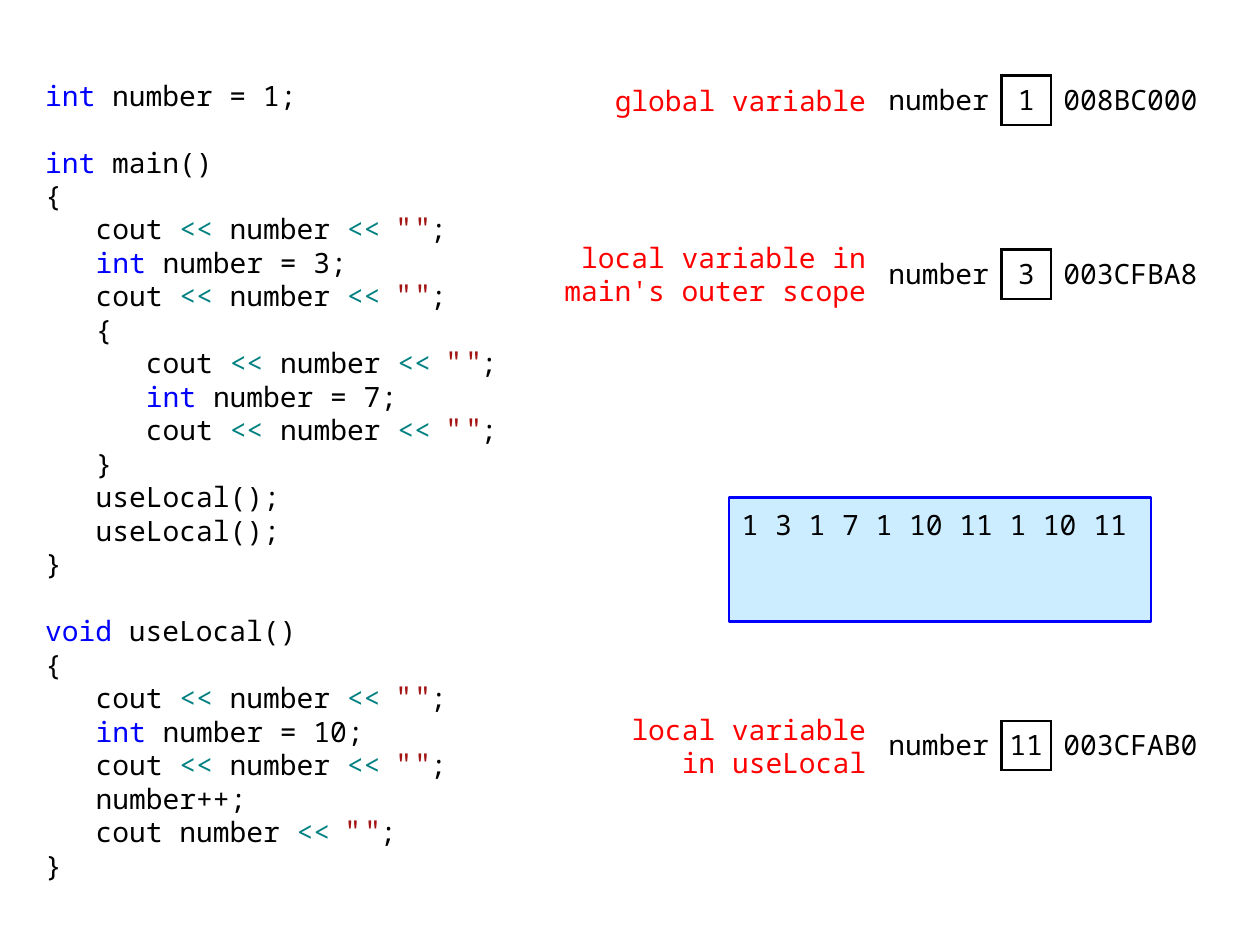
from typing import NamedTuple

from lxml.etree import SubElement
from pptx import Presentation
from pptx.dml.color import RGBColor
from pptx.enum.shapes import MSO_SHAPE as Shape
from pptx.enum.text import MSO_ANCHOR as Anchor, PP_ALIGN as Align
from pptx.oxml.ns import qn
from pptx.util import Pt

MONO, SANS = "Noto Sans Mono", "Noto Sans CJK TC"
BLACK, BLUE, TEAL, RED, BRICK = "000000", "0000FF", "008080", "FF0000", "A31515"
SIZE, PITCH = 16, 19.15
INDENT = 3 * 0.6 * SIZE  # three characters of the mono font
SIDE = 28.2              # side of a memory cell


class Run(NamedTuple):
    text: str
    color: str = BLACK
    font: str = MONO


class Line(NamedTuple):
    level: int
    runs: list[Run]
    gap: bool = False  # one line of space above


class Memory(NamedTuple):
    """A variable with its label, value and address."""
    label: str
    left: float
    rows: int
    top: float
    value: str
    place: str


def plain(level: int, text: str) -> Line:
    return Line(level, [Run(text)])


def typed(level: int, word: str, rest: str, gap: bool = False) -> Line:
    """A line that starts with a keyword."""
    return Line(level, [Run(word + " ", BLUE), Run(rest)], gap)


def tail() -> list[Run]:
    return [Run("<< ", TEAL), Run('" "', BRICK, SANS), Run(";")]


def cout(level: int) -> Line:
    return Line(level, [Run("cout "), Run("<<", TEAL), Run(" number "), *tail()])


CODE = [
    typed(0, "int", "number = 1;"),
    typed(0, "int", "main()", True),
    plain(0, "{"),
    cout(1),
    typed(1, "int", "number = 3;"),
    cout(1),
    plain(1, "{"),
    cout(2),
    typed(2, "int", "number = 7;"),
    cout(2),
    plain(1, "}"),
    plain(1, "useLocal();"),
    plain(1, "useLocal();"),
    plain(0, "}"),
    typed(0, "void", "useLocal()", True),
    plain(0, "{"),
    cout(1),
    typed(1, "int", "number = 10;"),
    cout(1),
    plain(1, "number++;"),
    Line(1, [Run("cout number "), *tail()]),
    plain(0, "}"),
]

MEMORY = [
    Memory("global variable", 332, 1, 43.2, "1", "008BC000"),
    Memory("local variable in main's outer scope", 303, 2, 142.5, "3", "003CFBA8"),
    Memory("local variable in useLocal", 345.5, 2, 412, "11", "003CFAB0"),
]


def rgb(code: str) -> RGBColor:
    return RGBColor.from_string(code)


def write(para, runs: list[Run], align=Align.LEFT, pitch: float = PITCH) -> None:
    para.alignment = align
    para.line_spacing = Pt(pitch)
    for item in runs:
        run = para.add_run()
        run.text = item.text
        run.font.name = item.font
        run.font.size = Pt(SIZE)
        run.font.color.rgb = rgb(item.color)


def pad(area, side: float, top: float, base: float) -> None:
    area.margin_left = area.margin_right = Pt(side)
    area.margin_top, area.margin_bottom = Pt(top), Pt(base)


def add_box(slide, left: float, top: float, width: float, height: float):
    box = slide.shapes.add_textbox(Pt(left), Pt(top), Pt(width), Pt(height))
    box.text_frame.word_wrap = True
    return box.text_frame


def add_code(slide) -> None:
    frame = add_box(slide, 20, 43.2, 284, 468)
    pad(frame, 5.8, 1.5, 1.5)
    for i, line in enumerate(CODE):
        para = frame.add_paragraph() if i else frame.paragraphs[0]
        write(para, line.runs)
        if line.gap:
            para.space_before = Pt(PITCH)
        props = para._p.get_or_add_pPr()
        props.set("marL", str(Pt(line.level * INDENT)))
        props.set("indent", "0")


def set_edges(cell, drawn: str) -> None:
    """Draw the sides named by letters of LRTB and clear the others."""
    props = cell._tc.get_or_add_tcPr()
    for i, side in enumerate("LRTB"):
        edge = SubElement(props, qn("a:ln" + side), w=str(Pt(1.5)))
        if side in drawn:
            fill = SubElement(edge, qn("a:solidFill"))
            SubElement(fill, qn("a:srgbClr"), val=BLACK)
        else:
            SubElement(edge, qn("a:noFill"))
        props.insert(i, edge)


def add_memory(slide, item: Memory) -> None:
    high = item.rows * SIDE
    mid = item.top + SIDE / 2
    frame = add_box(slide, item.left, mid - high / 2, 502 - item.left, high)
    frame.vertical_anchor = Anchor.MIDDLE
    write(frame.paragraphs[0], [Run(item.label, RED)], Align.RIGHT)

    widths = (85, SIDE, 99.4)
    grid = slide.shapes.add_table(1, 3, Pt(487.3), Pt(item.top),
                                  Pt(sum(widths)), Pt(SIDE)).table
    grid.first_row = grid.horz_banding = False
    grid.rows[0].height = Pt(SIDE)
    cells = (
        ("number", Align.RIGHT, "R", 7.2),
        (item.value, Align.CENTER, "LRTB", 0),
        (item.place, Align.LEFT, "L", 7.2),
    )
    for i, (text, align, edges, side) in enumerate(cells):
        grid.columns[i].width = Pt(widths[i])
        cell = grid.cell(0, i)
        cell.fill.background()
        cell.vertical_anchor = Anchor.MIDDLE
        pad(cell, side, 0, 0)
        write(cell.text_frame.paragraphs[0], [Run(text)], align, PITCH * 1.1)
        set_edges(cell, edges)


def add_output(slide) -> None:
    box = slide.shapes.add_shape(Shape.RECTANGLE, Pt(416.7), Pt(284.3),
                                 Pt(241), Pt(70.8))
    box.shadow.inherit = False
    box.fill.solid()
    box.fill.fore_color.rgb = rgb("CCECFF")
    box.line.color.rgb = rgb(BLUE)
    box.line.width = Pt(1.5)
    frame = box.text_frame
    frame.word_wrap = True
    frame.vertical_anchor = Anchor.TOP
    pad(frame, 7.2, 5.8, 3.6)
    write(frame.paragraphs[0], [Run("1 3 1 7 1 10 11 1 10 11")])


def main() -> None:
    deck = Presentation()
    deck.slide_width, deck.slide_height = Pt(720), Pt(540)
    slide = deck.slides.add_slide(deck.slide_layouts[6])
    add_code(slide)
    for item in MEMORY:
        add_memory(slide, item)
    add_output(slide)
    deck.save("out.pptx")


if __name__ == "__main__":
    main()
